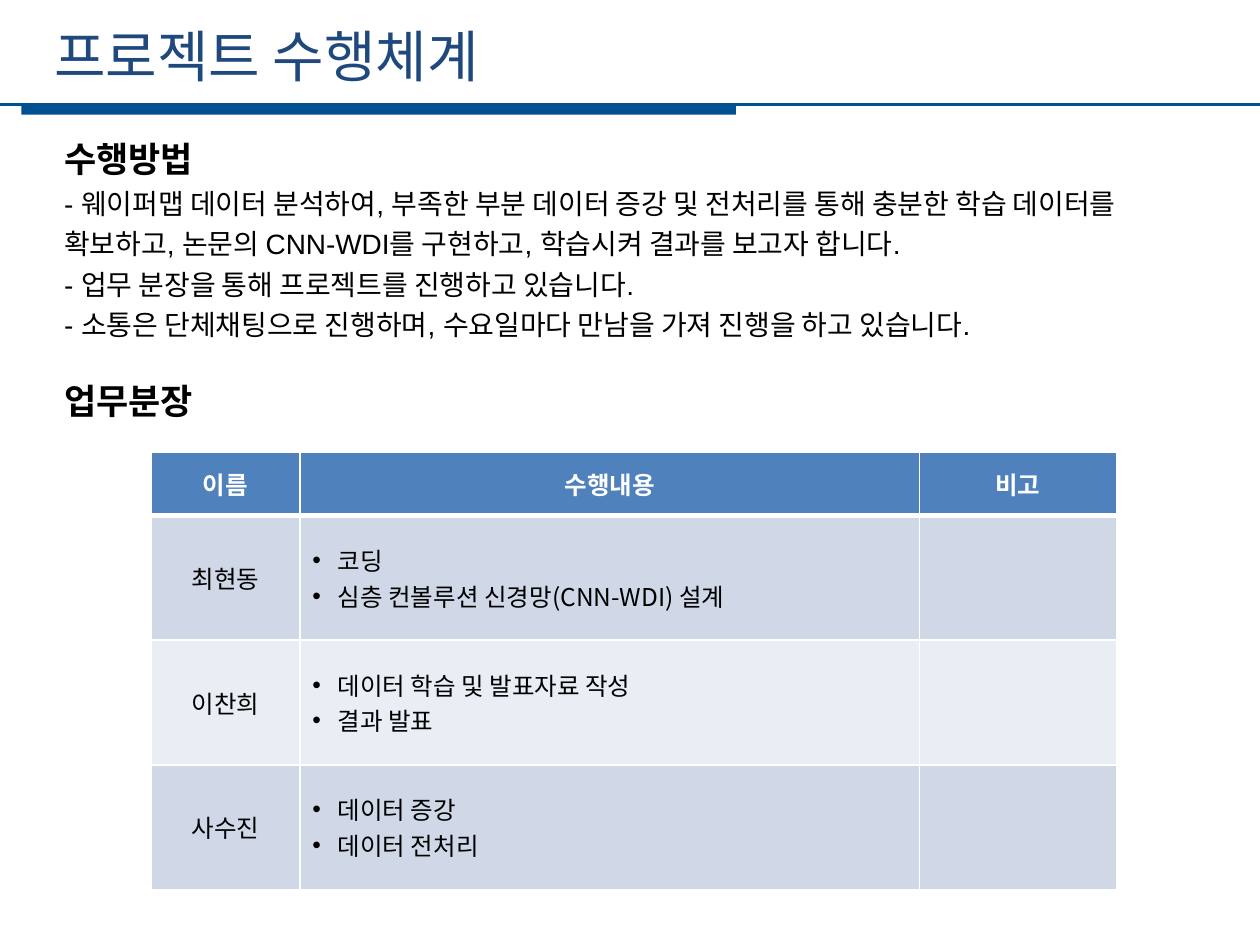
from typing import NamedTuple

from lxml.etree import SubElement
from pptx import Presentation
from pptx.dml.color import RGBColor
from pptx.enum.shapes import MSO_CONNECTOR, MSO_SHAPE
from pptx.enum.text import MSO_ANCHOR as Anchor, MSO_AUTO_SIZE as AutoSize, PP_ALIGN as Align
from pptx.oxml.ns import qn
from pptx.util import Inches, Pt

NAVY = RGBColor(0x1F, 0x49, 0x7D)
RULE_BLUE = RGBColor(0x00, 0x50, 0x94)
HEADER_BLUE = RGBColor(0x4F, 0x81, 0xBD)
BAND_DARK = RGBColor(0xD0, 0xD8, 0xE8)
BAND_LIGHT = RGBColor(0xE9, 0xED, 0xF4)
BLACK = RGBColor(0, 0, 0)
WHITE = RGBColor(0xFF, 0xFF, 0xFF)
KOREAN = "Noto Sans CJK KR"
LATIN = "Arial"


class Line(NamedTuple):
    text: str
    heading: bool = False
    gap: int = 0


class Duty(NamedTuple):
    name: str
    tasks: tuple[str, ...]


METHOD_LINES = [
    Line("수행방법", heading=True),
    Line("- 웨이퍼맵 데이터 분석하여, 부족한 부분 데이터 증강 및 전처리를 통해 충분한 학습 "
         "데이터를 확보하고, 논문의 CNN-WDI를 구현하고, 학습시켜 결과를 보고자 합니다."),
    Line("- 업무 분장을 통해 프로젝트를 진행하고 있습니다."),
    Line("- 소통은 단체채팅으로 진행하며, 수요일마다 만남을 가져 진행을 하고 있습니다."),
    Line("업무분장", heading=True, gap=23),
]
HEADERS = ("이름", "수행내용", "비고")
DUTIES = [
    Duty("최현동", ("코딩", "심층 컨볼루션 신경망(CNN-WDI) 설계")),
    Duty("이찬희", ("데이터 학습 및 발표자료 작성", "결과 발표")),
    Duty("사수진", ("데이터 증강", "데이터 전처리")),
]
COLUMN_WIDTHS = (1.18, 4.92, 1.56)
ROW_HEIGHTS = (0.5, 0.99, 0.99, 0.99)


def write(para, text: str, size: int, color: RGBColor, bold: bool = False,
          font: str = KOREAN) -> None:
    span = para.add_run()
    span.text = text
    for name, value in {"size": Pt(size), "bold": bold, "name": font}.items():
        setattr(span.font, name, value)
    span.font.color.rgb = color
    latin = span.font._element.find(qn("a:latin"))
    east_asian = latin.makeelement(qn("a:ea"), {"typeface": KOREAN})
    latin.addnext(east_asian)


def add_bullet(para) -> None:
    props = para._p.get_or_add_pPr()
    props.set("marL", str(Inches(0.2)))
    props.set("indent", str(-Inches(0.2)))
    SubElement(props, qn("a:buFont"), typeface=LATIN)
    SubElement(props, qn("a:buChar"), char="•")


def style_cell(cell, fill: RGBColor, bottom: int = 1, top: int = 1) -> None:
    # Borders come before the fill in the cell properties
    props = cell._tc.get_or_add_tcPr()
    for side, width in {"lnL": 1, "lnR": 1, "lnT": top, "lnB": bottom}.items():
        border = SubElement(props, qn(f"a:{side}"), w=str(Pt(width)))
        solid = SubElement(border, qn("a:solidFill"))
        SubElement(solid, qn("a:srgbClr"), val=str(WHITE))
    cell.fill.solid()
    cell.fill.fore_color.rgb = fill
    cell.vertical_anchor = Anchor.MIDDLE


def write_centred(cell, text: str, color: RGBColor, bold: bool = False) -> None:
    para = cell.text_frame.paragraphs[0]
    para.alignment = Align.CENTER
    write(para, text, 14, color, bold)


def add_title(page) -> None:
    title = page.shapes.title
    place = {"left": 0.33, "top": 0.12, "width": 8.96, "height": 0.64}
    for name, value in place.items():
        setattr(title, name, Inches(value))
    frame = title.text_frame
    for name, value in {"word_wrap": True, "auto_size": AutoSize.NONE,
                        "vertical_anchor": Anchor.TOP}.items():
        setattr(frame, name, value)
    frame.paragraphs[0].alignment = Align.LEFT
    write(frame.paragraphs[0], "프로젝트 수행체계", 32, NAVY)


def add_title_rule(page) -> None:
    bar = page.shapes.add_shape(MSO_SHAPE.RECTANGLE, Inches(0.17), Inches(0.83),
                                Inches(5.67), Inches(0.08))
    bar.shadow.inherit = False
    bar.fill.solid()
    bar.fill.fore_color.rgb = RULE_BLUE
    bar.line.fill.background()
    rule = page.shapes.add_connector(MSO_CONNECTOR.STRAIGHT, Inches(0), Inches(0.83),
                                     Inches(10), Inches(0.83))
    rule.line.color.rgb = RULE_BLUE
    rule.line.width = Pt(1.25)
    SubElement(rule._element.spPr, qn("a:effectLst"))


def add_method(page) -> None:
    box = page.shapes.add_textbox(Inches(0.41), Inches(1.06), Inches(9.12), Inches(2.36))
    frame = box.text_frame
    frame.word_wrap = True
    for index, line in enumerate(METHOD_LINES):
        para = frame.add_paragraph() if index else frame.paragraphs[0]
        para.line_spacing = Pt(23)
        para.space_before = Pt(line.gap)
        write(para, line.text, 20 if line.heading else 16, BLACK, line.heading, LATIN)


def add_duty_table(page) -> None:
    table = page.shapes.add_table(
        len(DUTIES) + 1, len(HEADERS), Inches(1.2), Inches(3.59),
        Inches(sum(COLUMN_WIDTHS)), Inches(sum(ROW_HEIGHTS))).table
    for column, width in zip(table.columns, COLUMN_WIDTHS):
        column.width = Inches(width)
    for row, height in zip(table.rows, ROW_HEIGHTS):
        row.height = Inches(height)

    # Header row
    for index, header in enumerate(HEADERS):
        cell = table.cell(0, index)
        style_cell(cell, HEADER_BLUE, bottom=3)
        write_centred(cell, header, WHITE, bold=True)

    # One banded row per member
    for row, duty in enumerate(DUTIES, start=1):
        for column in range(len(HEADERS)):
            style_cell(table.cell(row, column), BAND_DARK if row % 2 else BAND_LIGHT,
                       top=3 if row == 1 else 1)
        write_centred(table.cell(row, 0), duty.name, BLACK)
        frame = table.cell(row, 1).text_frame
        for index, task in enumerate(duty.tasks):
            para = frame.add_paragraph() if index else frame.paragraphs[0]
            add_bullet(para)
            write(para, task, 14, BLACK)


def main() -> None:
    deck = Presentation()
    deck.slide_width, deck.slide_height = Inches(10), Inches(7.5)
    page = deck.slides.add_slide(deck.slide_layouts[5])
    add_title_rule(page)
    add_title(page)
    add_method(page)
    add_duty_table(page)
    deck.save("out.pptx")


if __name__ == "__main__":
    main()
